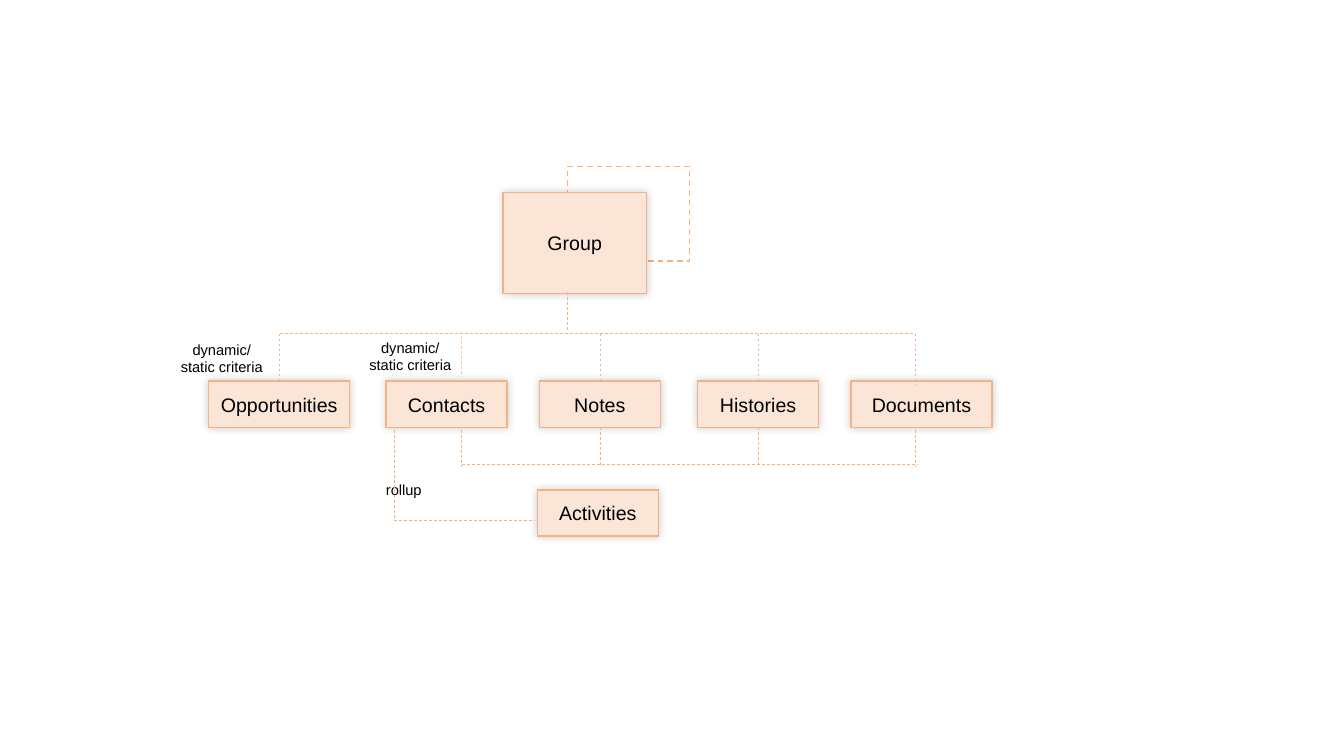
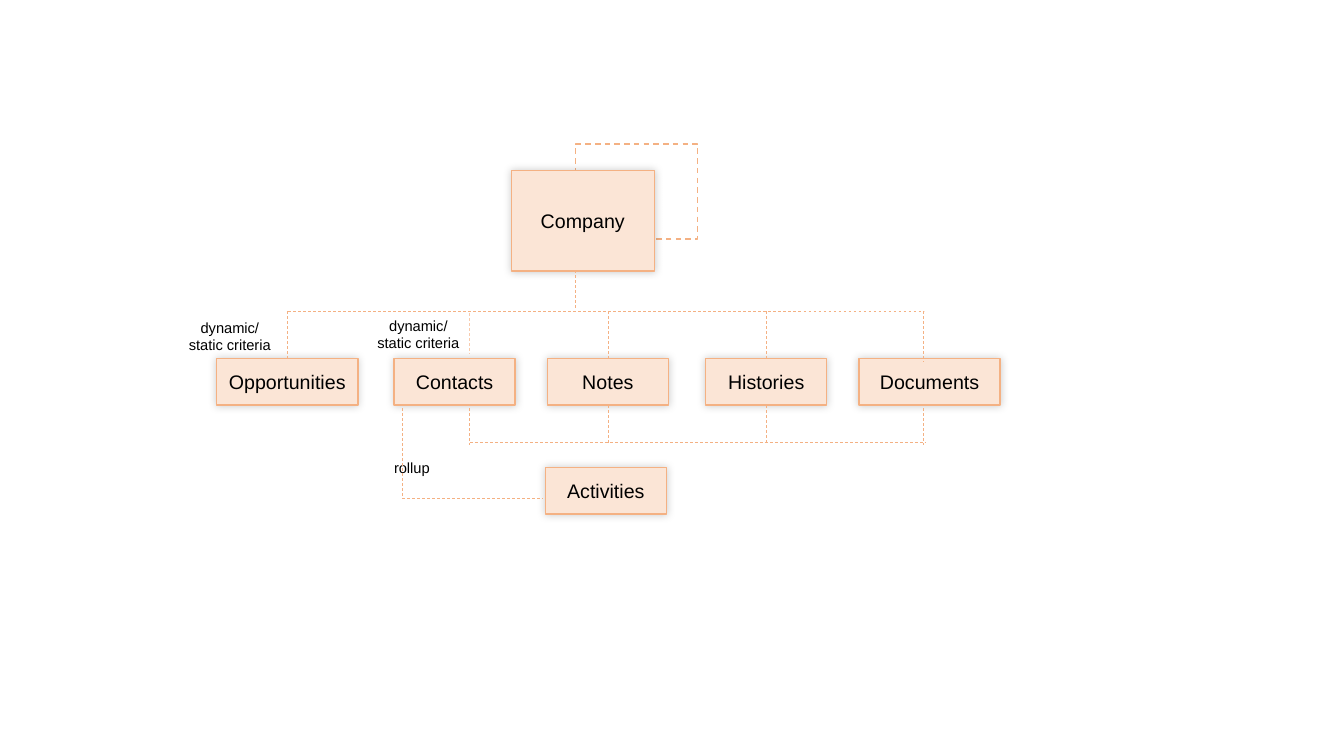
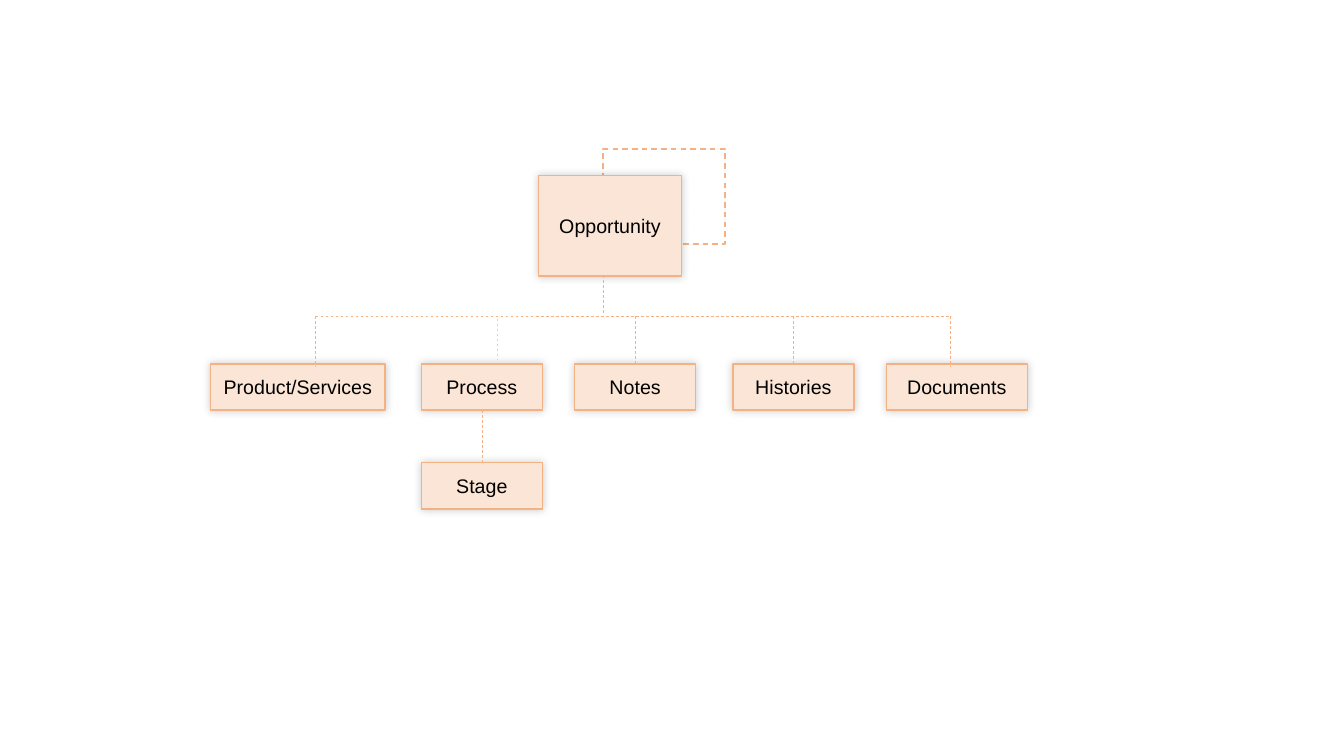
from dataclasses import dataclass

from lxml import etree
from pptx import Presentation
from pptx.dml.color import RGBColor
from pptx.enum.dml import MSO_LINE
from pptx.enum.shapes import MSO_CONNECTOR, MSO_SHAPE
from pptx.enum.text import MSO_ANCHOR, PP_ALIGN
from pptx.oxml.ns import qn
from pptx.util import Inches, Pt

RECT = MSO_SHAPE.RECTANGLE
STRAIGHT = MSO_CONNECTOR.STRAIGHT
DASH = MSO_LINE.DASH
CENTER, LEFT = PP_ALIGN.CENTER, PP_ALIGN.LEFT
MIDDLE, TOP = MSO_ANCHOR.MIDDLE, MSO_ANCHOR.TOP
TOP_SIDE, BOTTOM_SIDE = 0, 2


@dataclass(frozen=True)
class Theme:
    font: str = "Arial"
    ink: str = "000000"
    fill: str = "FBE5D6"
    line: str = "F4B183"
    pale: str = "F8CBAD"
    box_size: float = 14
    note_size: float = 10.5
    edge: float = 1
    thin: float = 0.5
    blur: float = 6
    shade: int = 20


THEME = Theme()

# Each chart: root corner, root name, first child (name, left, width), second child
CHARTS = [
    {"at": (4.99, 1.91), "root": "Group",
     "first": ("Opportunities", -2.92, 1.4), "second": "Contacts", "rollup": True},
    {"at": (5.07, 1.69), "root": "Company",
     "first": ("Opportunities", -2.92, 1.4), "second": "Contacts", "rollup": True},
    {"at": (5.34, 1.74), "root": "Opportunity",
     "first": ("Product/Services", -3.25, 1.73), "second": "Process", "rollup": False},
]

# Places below are measured from the root's top left corner
ROOT_W, ROOT_H = 1.42, 1
LOOP = (0.64, -0.26, 1.21, 0.94)
BOX_W, BOX_H = 1.2, 0.46
SECOND_X = -1.16
OTHERS = [("Notes", 0.36, BOX_W), ("Histories", 1.93, BOX_W), ("Documents", 3.45, 1.4)]
ROW_Y = 1.87
DROPS = [-2.21, -0.41, 0.96, 2.51, 4.09]
STEM_X, BUS_Y, DROP_H = 0.64, 1.4, 0.5
MERGE_Y, RISE_Y = 2.7, 2.36
NEAR = 0.03
ACTIVITY = (0.34, 2.95)
STAGE_Y = 2.85
ROLL_X, ROLL_Y = -1.08, 3.25
CRITERIA = "dynamic/ static criteria"
NOTES = [
    (CRITERIA, -3.31, 1.42, 1.04, 0.47, CENTER),
    (CRITERIA, -1.44, 1.4, 1.04, 0.47, CENTER),
    ("rollup", -1.26, 2.81, 0.66, 0.29, LEFT),
]


def rgb(code):
    return RGBColor.from_string(code)


def add_glow(shape):
    """Give the shape a soft, even shadow."""
    shape.shadow.inherit = False
    effects = shape._element.spPr.find(qn("a:effectLst"))
    outer = etree.SubElement(effects, qn("a:outerShdw"), blurRad=str(Pt(THEME.blur)),
                             dist="0", dir="13500000", algn="br", rotWithShape="0")
    color = etree.SubElement(outer, qn("a:srgbClr"), val=THEME.ink)
    etree.SubElement(color, qn("a:alpha"), val=str(THEME.shade * 1000))


def write(shape, text, size, align, anchor):
    frame = shape.text_frame
    frame.word_wrap = True
    frame.vertical_anchor = anchor
    para = frame.paragraphs[0]
    para.alignment = align
    run = para.add_run()
    run.text = text
    run.font.name = THEME.font
    run.font.size = Pt(size)
    run.font.color.rgb = rgb(THEME.ink)


class Tree:
    """Draws on one slide, measuring from the root's corner."""

    def __init__(self, slide, origin):
        self.shapes = slide.shapes
        self.x, self.y = origin

    def spot(self, x, y):
        return Inches(self.x + x), Inches(self.y + y)

    def rect(self, x, y, w, h):
        shape = self.shapes.add_shape(RECT, *self.spot(x, y), Inches(w), Inches(h))
        shape.line.color.rgb = rgb(THEME.line)
        shape.line.width = Pt(THEME.edge)
        return shape

    def loop(self):
        shape = self.rect(*LOOP)
        shape.fill.background()
        shape.line.dash_style = DASH
        shape.shadow.inherit = False

    def box(self, text, x, y, w=BOX_W, h=BOX_H):
        shape = self.rect(x, y, w, h)
        shape.fill.solid()
        shape.fill.fore_color.rgb = rgb(THEME.fill)
        add_glow(shape)
        write(shape, text, THEME.box_size, CENTER, MIDDLE)
        return shape

    def note(self, text, x, y, w, h, align):
        shape = self.shapes.add_textbox(*self.spot(x, y), Inches(w), Inches(h))
        write(shape, text, THEME.note_size, align, TOP)

    def link(self, x1, y1, x2, y2, color=THEME.line):
        line = self.shapes.add_connector(STRAIGHT, *self.spot(x1, y1), *self.spot(x2, y2))
        line.line.color.rgb = rgb(color)
        line.line.width = Pt(THEME.thin)
        line.line.dash_style = DASH
        etree.SubElement(line._element.spPr, qn("a:effectLst"))
        return line


def draw_row(tree, kids):
    """Draw the children and the lines that hang them from the root."""
    boxes = [tree.box(name, x, ROW_Y, w) for name, x, w in kids]
    tree.link(STEM_X, ROOT_H - 0.01, STEM_X, BUS_Y - 0.02)
    tree.link(DROPS[0], BUS_Y, DROPS[-1], BUS_Y)
    for i, (drop, box, (_, x, w)) in enumerate(zip(DROPS, boxes, kids)):
        if i == 1:
            tree.link(drop, BUS_Y + 0.02, drop, BUS_Y + 0.42, THEME.pale)
            continue
        mid = x + w / 2
        joined = abs(mid - drop) < NEAR
        at = mid if joined else drop
        line = tree.link(at, BUS_Y, at, BUS_Y + DROP_H)
        if joined:
            line.end_connect(box, TOP_SIDE)
    return boxes


def draw_rollup(tree, kids, boxes):
    """Draw the activities, the lines that lead to them and the notes."""
    tree.box("Activities", *ACTIVITY)
    for note in NOTES:
        tree.note(*note)
    tree.link(DROPS[1], MERGE_Y, DROPS[-1] + 0.02, MERGE_Y)
    for drop, box, (_, x, w) in list(zip(DROPS, boxes, kids))[1:]:
        mid = x + w / 2
        joined = abs(mid - drop) < NEAR
        at = mid if joined else drop
        line = tree.link(at, RISE_Y, at, MERGE_Y + 0.02)
        if joined:
            line.begin_connect(box, BOTTOM_SIDE)
    tree.link(ROLL_X, RISE_Y, ROLL_X, ROLL_Y)
    tree.link(ROLL_X, ROLL_Y, ACTIVITY[0] - 0.02, ROLL_Y)


def draw_stage(tree, process):
    stage = tree.box("Stage", SECOND_X, STAGE_Y)
    mid = SECOND_X + BOX_W / 2
    line = tree.link(mid, ROW_Y + BOX_H, mid, STAGE_Y)
    line.begin_connect(process, BOTTOM_SIDE)
    line.end_connect(stage, TOP_SIDE)


def main():
    deck = Presentation()
    deck.slide_width, deck.slide_height = Inches(13.33), Inches(7.5)
    blank = deck.slide_layouts[6]
    for chart in CHARTS:
        tree = Tree(deck.slides.add_slide(blank), chart["at"])
        tree.loop()
        tree.box(chart["root"], 0, 0, ROOT_W, ROOT_H)
        kids = [chart["first"], (chart["second"], SECOND_X, BOX_W), *OTHERS]
        boxes = draw_row(tree, kids)
        if chart["rollup"]:
            draw_rollup(tree, kids, boxes)
        else:
            draw_stage(tree, boxes[1])
    deck.save("out.pptx")


if __name__ == "__main__":
    main()
